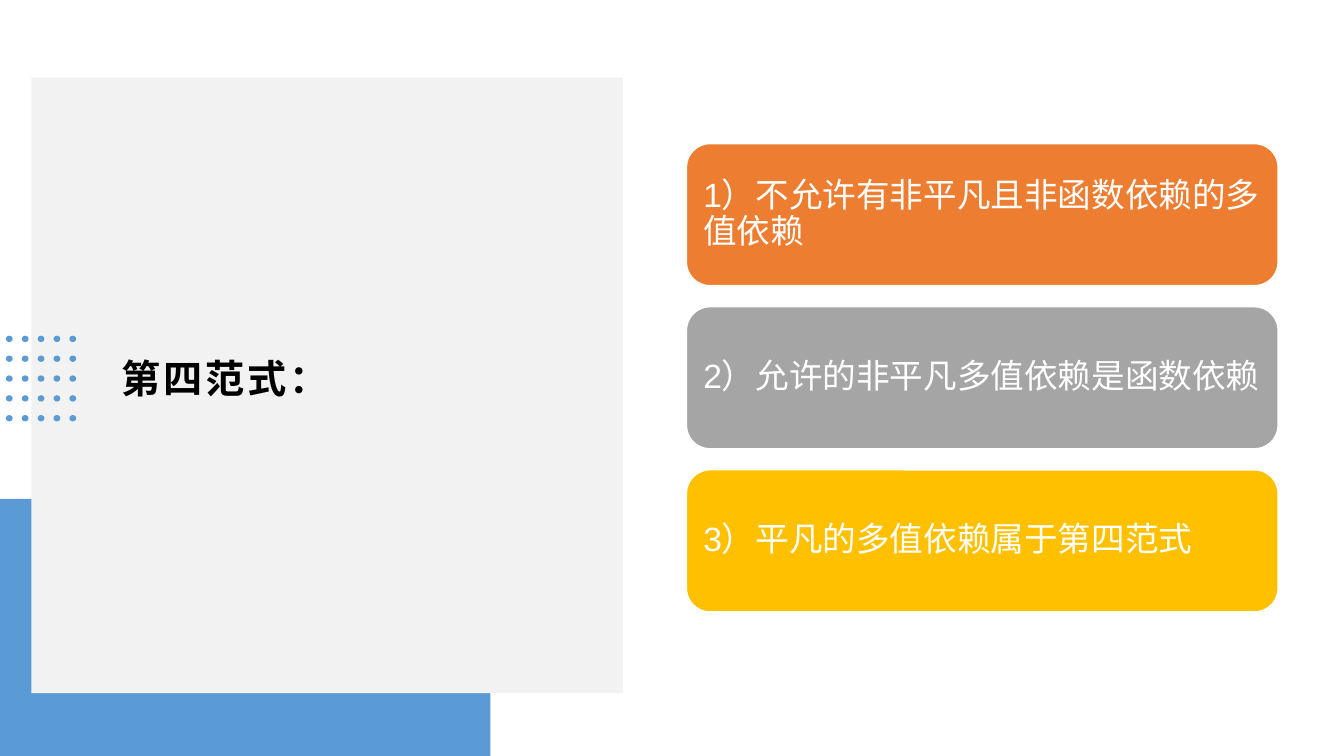
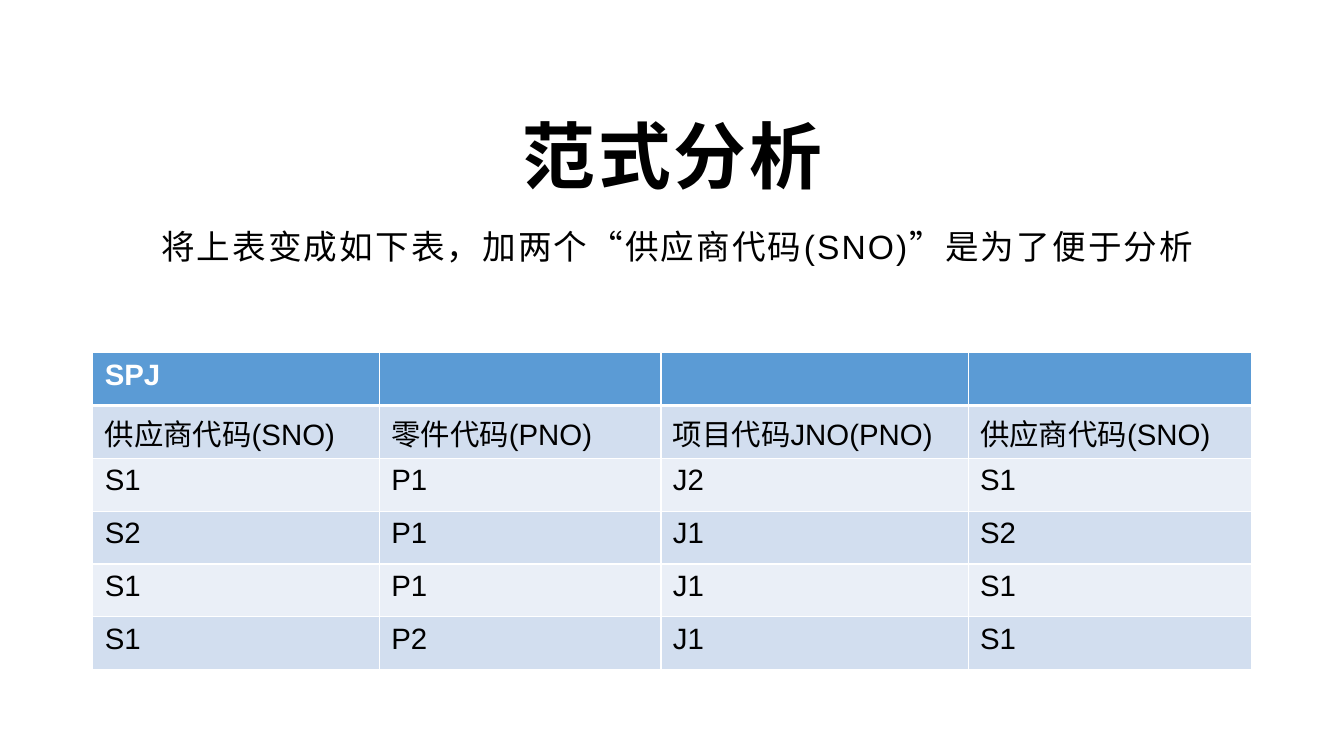
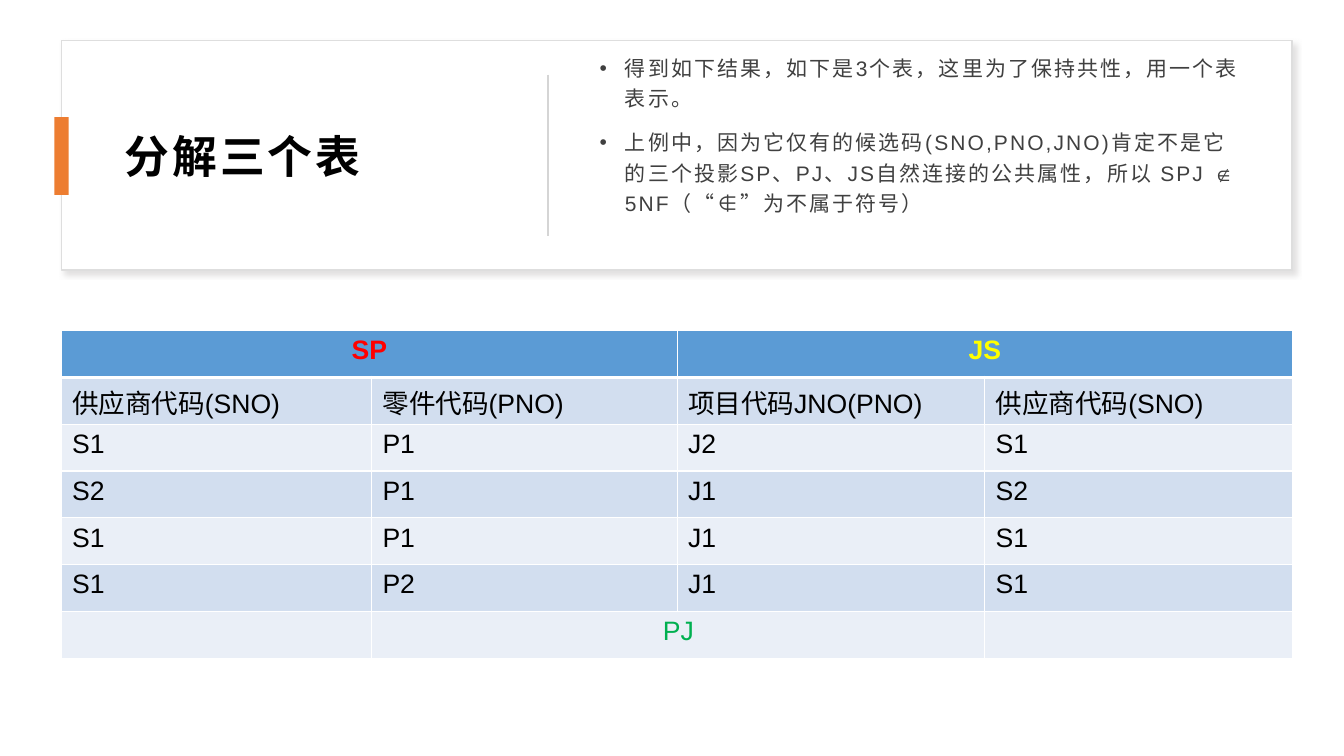
from dataclasses import dataclass
from itertools import product
from typing import Optional

import lxml.etree
import pptx
import pptx.dml.color
import pptx.enum.shapes
import pptx.enum.text
import pptx.oxml
import pptx.oxml.ns
import pptx.util

Cm, Pt = pptx.util.Cm, pptx.util.Pt
SHAPE = pptx.enum.shapes.MSO_SHAPE
ALIGN = pptx.enum.text.PP_ALIGN
ANCHOR = pptx.enum.text.MSO_ANCHOR
qn = pptx.oxml.ns.qn

FONT = "Arial"
BLACK, WHITE, GREY_TEXT = "000000", "FFFFFF", "404040"
BLUE, ORANGE, GREY, GOLD = "5B9BD5", "ED7D31", "A5A5A5", "FFC000"
BANDS = ("D2DEEF", "EAEFF7")


@dataclass(frozen=True)
class Area:
    """A rectangle in centimetres."""
    left: float
    top: float
    width: float
    height: float

    def lengths(self) -> tuple:
        return Cm(self.left), Cm(self.top), Cm(self.width), Cm(self.height)


@dataclass(frozen=True)
class Style:
    size: float
    colour: str = BLACK
    bold: bool = False
    tracking: float = 0
    align: Optional[ALIGN] = None
    line_spacing: float = 1.0
    space_after: float = 0
    bullet: bool = False


@dataclass(frozen=True)
class Label:
    """A table cell text; it may span columns and have its own colour."""
    text: str
    column: int
    span: int = 1
    colour: Optional[str] = None


@dataclass(frozen=True)
class Grid:
    left: float
    top: float
    columns: tuple
    row_height: float
    size: float
    inset: tuple


def rgb(colour: str) -> pptx.dml.color.RGBColor:
    return pptx.dml.color.RGBColor.from_string(colour)


def add_paragraph(frame, text: str, style: Style, first: bool = True) -> None:
    para = frame.paragraphs[0] if first else frame.add_paragraph()
    if style.bullet:
        props = para._p.get_or_add_pPr()
        props.set("marL", str(Cm(0.64)))
        props.set("indent", str(-Cm(0.64)))
        lxml.etree.SubElement(props, qn("a:buFont")).set("typeface", FONT)
        lxml.etree.SubElement(props, qn("a:buChar")).set("char", "•")
    para.alignment = style.align
    para.line_spacing = style.line_spacing
    para.space_after = Pt(style.space_after)
    span = para.add_run()
    span.text = text
    span.font.name = FONT
    span.font.size = Pt(style.size)
    span.font.bold = style.bold
    span.font.color.rgb = rgb(style.colour)
    if style.tracking:
        span._r.get_or_add_rPr().set("spc", str(round(style.tracking * 100)))


def fill_frame(frame, texts: list[str], style: Style, anchor: ANCHOR,
               inset: tuple[float, float]) -> None:
    frame.word_wrap = True
    frame.vertical_anchor = anchor
    frame.margin_left = frame.margin_right = Cm(inset[0])
    frame.margin_top = frame.margin_bottom = Cm(inset[1])
    for index, text in enumerate(texts):
        add_paragraph(frame, text, style, index == 0)


def add_text(page, area: Area, texts: list[str], style: Style,
             anchor: ANCHOR = ANCHOR.MIDDLE,
             inset: tuple[float, float] = (0.25, 0.13)) -> None:
    box = page.shapes.add_textbox(*area.lengths())
    fill_frame(box.text_frame, texts, style, anchor, inset)


def add_shape(page, kind: SHAPE, area: Area, fill: str, line: Optional[str] = None):
    shape = page.shapes.add_shape(kind, *area.lengths())
    shape.shadow.inherit = False
    shape.fill.solid()
    shape.fill.fore_color.rgb = rgb(fill)
    if line:
        shape.line.color.rgb = rgb(line)
        shape.line.width = Pt(1)
    else:
        shape.line.fill.background()
    return shape


def add_soft_shadow(shape) -> None:
    effects = shape._element.spPr.find(qn("a:effectLst"))
    shadow = lxml.etree.SubElement(
        effects, qn("a:outerShdw"), blurRad=str(Pt(4)), dist=str(Pt(3)),
        dir=str(45 * 60000), algn="tl", rotWithShape="0")
    colour = lxml.etree.SubElement(shadow, qn("a:srgbClr"), val="C5C3C3")
    lxml.etree.SubElement(colour, qn("a:alpha"), val="50000")


def add_divider(page, x: float, top: float, bottom: float) -> None:
    line = page.shapes.add_connector(
        pptx.enum.shapes.MSO_CONNECTOR.STRAIGHT, Cm(x), Cm(top), Cm(x), Cm(bottom))
    line.line.color.rgb = rgb("D5D5D5")
    line.line.width = Pt(1.5)
    lxml.etree.SubElement(line._element.spPr, qn("a:effectLst"))


def add_borders(cell, row: int) -> None:
    """White lines, thicker between the heading row and the rest."""
    props = cell._tc.get_or_add_tcPr()
    widths = {"lnL": 1, "lnR": 1, "lnT": 3 if row == 1 else 1, "lnB": 3 if row == 0 else 1}
    for side, width in widths.items():
        border = lxml.etree.SubElement(props, qn(f"a:{side}"), w=str(Pt(width)))
        fill = lxml.etree.SubElement(border, qn("a:solidFill"))
        lxml.etree.SubElement(fill, qn("a:srgbClr"), val=WHITE)


def add_grid(page, grid: Grid, rows: list[list[Label]]) -> None:
    area = Area(grid.left, grid.top, sum(grid.columns), grid.row_height * len(rows))
    table = page.shapes.add_table(len(rows), len(grid.columns), *area.lengths()).table
    for column, width in zip(table.columns, grid.columns):
        column.width = Cm(width)
    for row in table.rows:
        row.height = Cm(grid.row_height)
    for row, column in product(range(len(rows)), range(len(grid.columns))):
        cell = table.cell(row, column)
        cell.margin_left = cell.margin_right = Cm(grid.inset[0])
        cell.margin_top = cell.margin_bottom = Cm(grid.inset[1])
        add_borders(cell, row)
        cell.fill.solid()
        cell.fill.fore_color.rgb = rgb(BANDS[(row - 1) % 2] if row else BLUE)
    for row, labels in enumerate(rows):
        for label in labels:
            cell = table.cell(row, label.column)
            if label.span > 1:
                cell.merge(table.cell(row, label.column + label.span - 1))
            style = Style(grid.size, label.colour or (BLACK if row else WHITE),
                          bold=row == 0,
                          align=ALIGN.CENTER if label.span > 1 else None)
            add_paragraph(cell.text_frame, label.text, style)


TITLE_INSET = (0.25, 0.1)
SUPPLY_ROWS = [
    [Label(text, column) for column, text in enumerate(texts)]
    for texts in (
        ("供应商代码(SNO)", "零件代码(PNO)", "项目代码JNO(PNO)", "供应商代码(SNO)"),
        ("S1", "P1", "J2", "S1"),
        ("S2", "P1", "J1", "S2"),
        ("S1", "P1", "J1", "S1"),
        ("S1", "P2", "J1", "S1"),
    )
]


def title_style(size: float, align: Optional[ALIGN] = None, line_spacing: float = 1.0) -> Style:
    return Style(size, bold=True, tracking=2, align=align, line_spacing=line_spacing)


def build_fourth_form(page) -> None:
    add_shape(page, SHAPE.RECTANGLE, Area(0, 12.57, 12.36, 6.48), BLUE)
    add_shape(page, SHAPE.RECTANGLE, Area(0.79, 1.96, 14.91, 15.51), "F2F2F2")
    add_text(page, Area(2.82, 3.73, 11.66, 11.58), ["第四范式："],
             title_style(28), inset=TITLE_INSET)
    for column, row in product(range(5), range(5)):
        dot = Area(0.15 + column * 0.4, 8.46 + row * 0.5, 0.17, 0.16)
        add_shape(page, SHAPE.OVAL, dot, BLUE)
    rules = (
        ("1）不允许有非平凡且非函数依赖的多值依赖", ORANGE),
        ("2）允许的非平凡多值依赖是函数依赖", GREY),
        ("3）平凡的多值依赖属于第四范式", GOLD),
    )
    for index, (text, colour) in enumerate(rules):
        card = add_shape(page, SHAPE.ROUNDED_RECTANGLE,
                         Area(17.3, 3.62 + index * 4.11, 14.91, 3.58), colour, WHITE)
        fill_frame(card.text_frame, [text],
                   Style(24, WHITE, align=ALIGN.LEFT, line_spacing=0.9),
                   ANCHOR.MIDDLE, (0.25, 0.25))


def build_analysis(page) -> None:
    add_text(page, Area(2.34, 1.55, 29.21, 3.61), ["范式分析"],
             title_style(52, ALIGN.CENTER, 0.9), ANCHOR.BOTTOM)
    add_text(page, Area(2.34, 5.69, 29.21, 2.03),
             [" 将上表变成如下表，加两个“供应商代码(SNO)”是为了便于分析"],
             Style(24, tracking=1.5, align=ALIGN.CENTER, line_spacing=0.9), ANCHOR.TOP)
    grid = Grid(2.34, 8.89, (7.22, 7.1, 7.74, 7.15), 1.33, 21, (0.3, 0.15))
    add_grid(page, grid, [[Label("SPJ", 0)], *SUPPLY_ROWS])


def build_decomposition(page) -> None:
    panel = add_shape(page, SHAPE.RECTANGLE, Area(1.55, 1.02, 31.01, 5.79), WHITE, "DEDEDE")
    add_soft_shadow(panel)
    add_text(page, Area(2.9, 1.63, 9.88, 4.57), ["分解三个表"],
             title_style(32), inset=TITLE_INSET)
    add_shape(page, SHAPE.RECTANGLE, Area(1.37, 2.95, 0.36, 1.96), ORANGE)
    add_divider(page, 13.82, 1.88, 5.94)
    add_text(page, Area(14.86, 1.27, 16.66, 5.28), [
        "得到如下结果，如下是3个表，这里为了保持共性，用一个表表示。",
        "上例中，因为它仅有的候选码(SNO,PNO,JNO)肯定不是它的三个投影SP、PJ、JS"
        "自然连接的公共属性，所以 SPJ ∉ 5NF（“∉”为不属于符号）",
    ], Style(15, GREY_TEXT, tracking=1.5, line_spacing=1.2, space_after=10, bullet=True),
        ANCHOR.TOP, (0.25, 0))
    grid = Grid(1.55, 8.33, (7.82, 7.7, 7.75, 7.75), 1.18, 19, (0.27, 0.13))
    headings = [Label("SP", 0, 2, "FF0000"), Label("JS", 2, 2, "FFFF00")]
    add_grid(page, grid, [headings, *SUPPLY_ROWS, [Label("PJ", 1, 2, "00B050")]])


def main() -> None:
    deck = pptx.Presentation()
    deck.slide_width, deck.slide_height = Cm(33.87), Cm(19.05)
    for build in (build_fourth_form, build_analysis, build_decomposition):
        build(deck.slides.add_slide(deck.slide_layouts[6]))
    deck.save("out.pptx")


if __name__ == "__main__":
    main()
